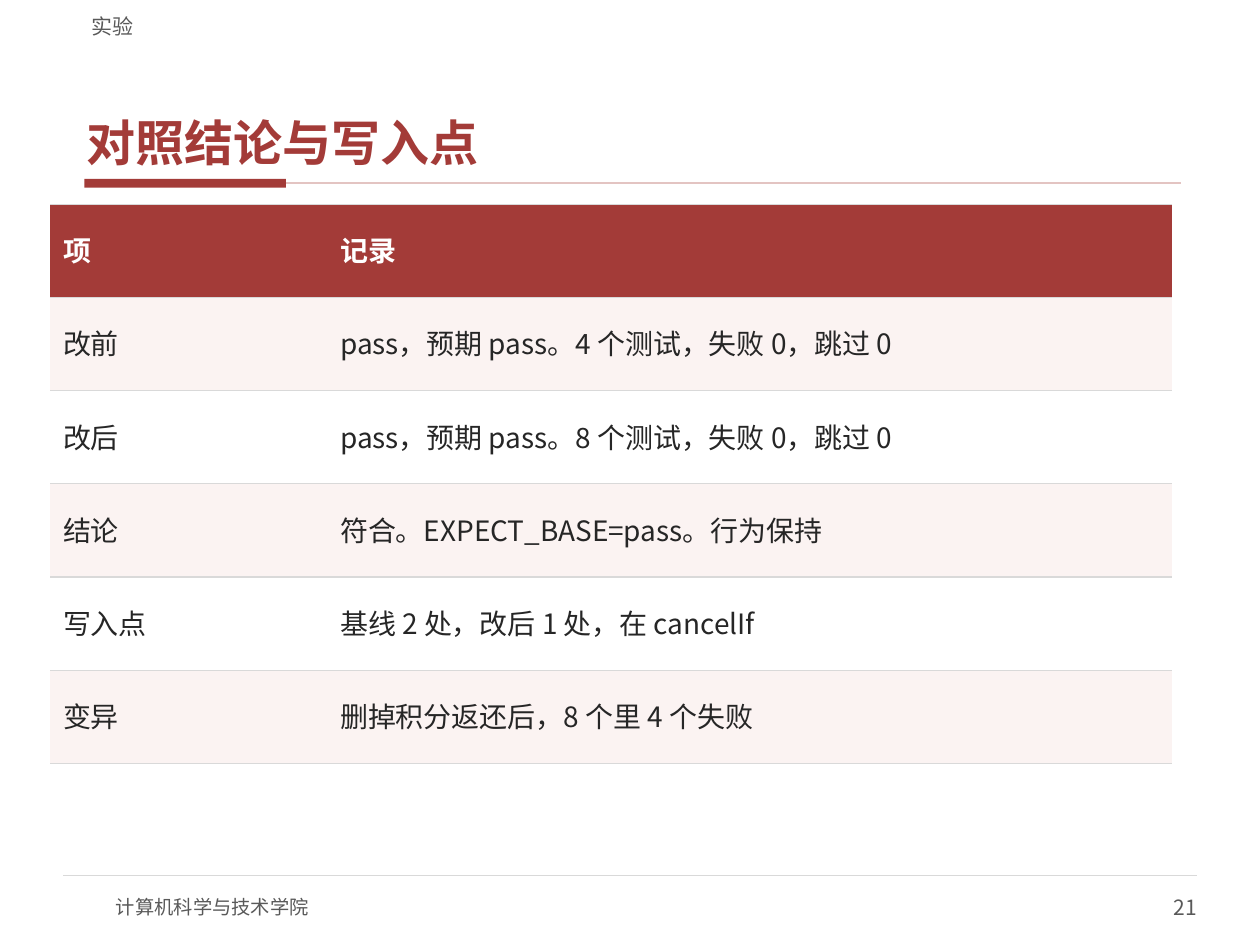
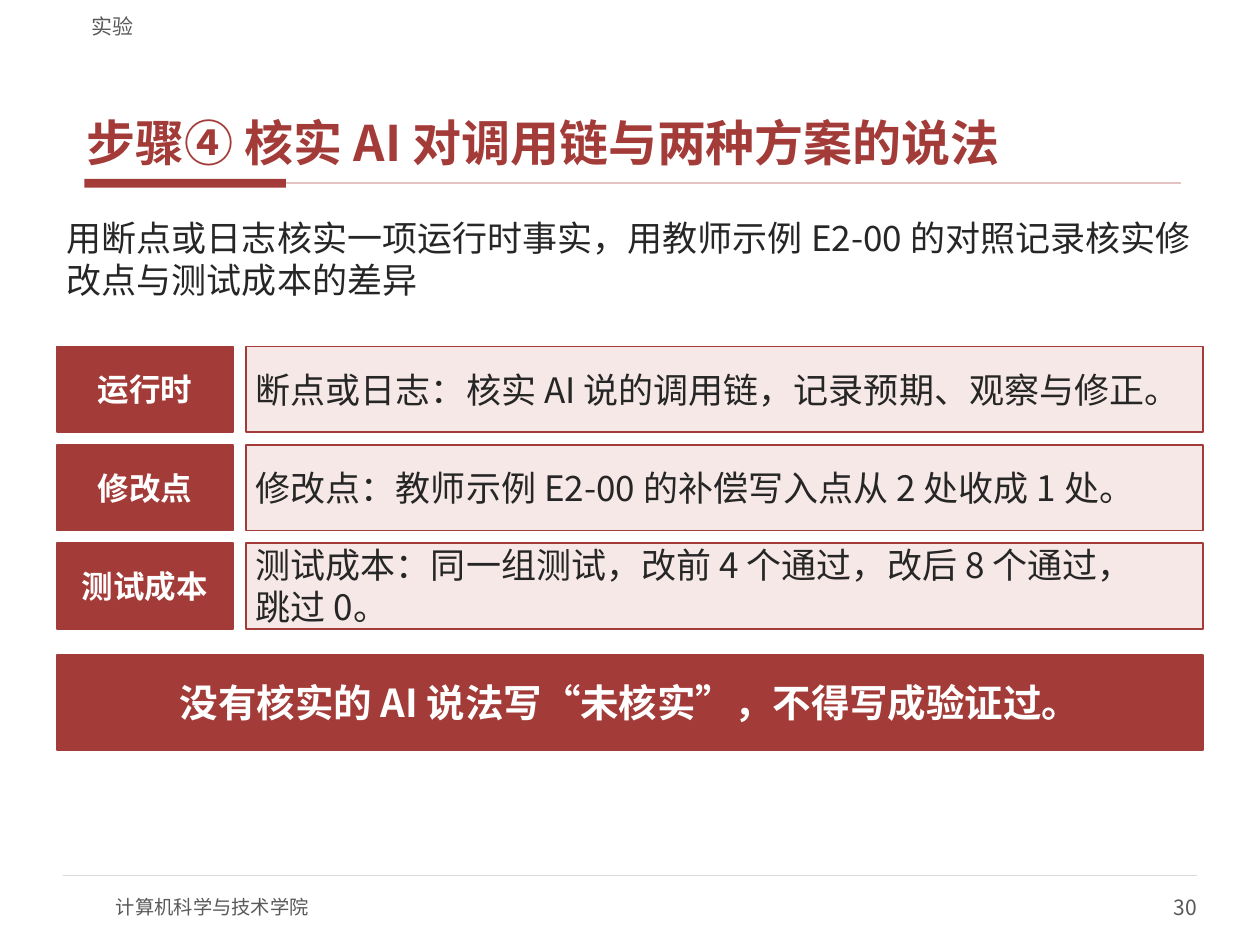
from lxml import etree
from pptx import Presentation
from pptx.dml.color import RGBColor
from pptx.enum.shapes import MSO_CONNECTOR, MSO_SHAPE
from pptx.enum.text import MSO_ANCHOR, PP_ALIGN
from pptx.oxml import parse_xml
from pptx.oxml.ns import nsdecls, qn
from pptx.util import Inches, Pt

RECT, LINE = MSO_SHAPE.RECTANGLE, MSO_CONNECTOR.STRAIGHT
TOP, MID, LOW = MSO_ANCHOR.TOP, MSO_ANCHOR.MIDDLE, MSO_ANCHOR.BOTTOM
LEFT, MIDST, RIGHT = PP_ALIGN.LEFT, PP_ALIGN.CENTER, PP_ALIGN.RIGHT
FONT = "Noto Sans CJK SC"
PLAIN = "{2D5ABB26-0587-4C30-8999-92F81FD0307C}"

HUES = {"red": "A33B38", "rose": "E3C4C2", "blush": "F6E8E6", "band": "FBF3F2",
        "white": "FFFFFF", "ink": "262626", "grey": "595959", "rule": "D9D9D9"}
RGB = {name: RGBColor.from_string(hue) for name, hue in HUES.items()}

# Text styles: font size, weight, colour, alignment, anchor, insets (inches)
STYLES = {
    "title": (28, True, "red", LEFT, LOW, (0.06, 0.02)),
    "part": (12, False, "grey", LEFT, LOW, (0.1, 0)),
    "school": (11, False, "grey", LEFT, MID, (0, 0)),
    "page": (12, False, "grey", RIGHT, MID, (0, 0)),
    "lead": (20, False, "ink", LEFT, TOP, (0.08, 0.04)),
    "body": (20, False, "ink", LEFT, MID, (0.08, 0.04)),
    "label": (18, True, "white", MIDST, MID, (0.08, 0.04)),
    "close": (22, True, "white", MIDST, MID, (0.08, 0.04)),
    "head": (16, True, "white", LEFT, MID, (0.1, 0.05)),
    "cell": (16, False, "ink", LEFT, MID, (0.1, 0.05)),
}

deck = Presentation()
deck.slide_width, deck.slide_height = Inches(10), Inches(7.5)
COL, ROW = deck.slide_width / 100, deck.slide_height / 75


def write(frame, text, style):
    size, bold, hue, align, _, _ = STYLES[style]
    para = frame.paragraphs[0]
    para.text, para.alignment = text, align
    for run in para.runs:
        for name, value in {"name": FONT, "size": Pt(size), "bold": bold}.items():
            setattr(run.font, name, value)
        run.font.color.rgb = RGB[hue]
        etree.SubElement(run.font._element, qn("a:ea"), typeface=FONT)
    return para


def block(slide, grid, text, style, fill=None):
    x, y, wide, high = grid
    box = [int(x * COL), int(y * ROW), int(wide * COL), int(high * ROW)]
    if fill:
        shape = slide.shapes.add_shape(RECT, *box)
        shape.shadow.inherit = False
        shape.fill.solid()
        shape.fill.fore_color.rgb = RGB[fill]
        shape.line.color.rgb, shape.line.width = RGB["red"], Pt(1)
    else:
        shape = slide.shapes.add_textbox(*box)
    if text:
        frame = shape.text_frame
        across, down = (Inches(inset) for inset in STYLES[style][5])
        form = {"word_wrap": True, "vertical_anchor": STYLES[style][4],
                "margin_left": across, "margin_right": across,
                "margin_top": down, "margin_bottom": down}
        for name, value in form.items():
            setattr(frame, name, value)
        write(frame, text, style)
    return shape


# Shared frame of both slides
slides = []
for title, page in [("对照结论与写入点", "21"),
                    ("步骤④ 核实 AI 对调用链与两种方案的说法", "30")]:
    slide = deck.slides.add_slide(deck.slide_layouts[6])
    slides.append(slide)
    bar = block(slide, (6.7, 14.2, 16, 0.7), "", "", "red")
    bar.line.fill.background()
    rules = []
    for start, end, y, hue, width in [(22.7, 93.7, 14.55, "rose", 1),
                                      (5, 95, 69.5, "rule", 0.75)]:
        rule = slide.shapes.add_connector(
            LINE, int(start * COL), int(y * ROW), int(end * COL), int(y * ROW))
        rule.line.color.rgb, rule.line.width = RGB[hue], Pt(width)
        etree.SubElement(rule._element.spPr, qn("a:effectLst"))
        rules.append(rule)
    rules[0].begin_connect(bar, 3)
    block(slide, (9.2, 70, 40, 4), "计算机科学与技术学院", "school")
    block(slide, (75, 70, 20, 4), page, "page")
    block(slide, (6.3, 3.3, 87.5, 10.5), title, "title")
    block(slide, (6.3, 0.4, 87.5, 2.7), "实验", "part")

# Slide 1: table of records
records = [
    ("项", "记录"),
    ("改前", "pass，预期 pass。4 个测试，失败 0，跳过 0"),
    ("改后", "pass，预期 pass。8 个测试，失败 0，跳过 0"),
    ("结论", "符合。EXPECT_BASE=pass。行为保持"),
    ("写入点", "基线 2 处，改后 1 处，在 cancelIf"),
    ("变异", "删掉积分返还后，8 个里 4 个失败"),
]
high = 7.4
table = slides[0].shapes.add_table(
    len(records), 2, int(4 * COL), int(16.2 * ROW),
    int(89 * COL), int(high * len(records) * ROW)).table
table.first_row = table.horz_banding = False
table._tbl.tblPr.find(qn("a:tableStyleId")).text = PLAIN
for column, wide in zip(table.columns, (22, 67)):
    column.width = int(wide * COL)
for i, record in enumerate(records):
    table.rows[i].height = int(high * ROW)
    fill = "band" if i % 2 else "white"
    for j, text in enumerate(record):
        cell = table.cell(i, j)
        cell.vertical_anchor = MID
        para = write(cell.text_frame, text, "cell" if i else "head")
        para.line_spacing, para.space_after = 0.9, Pt(2)
        for side in ("lnT", "lnB"):
            cell._tc.get_or_add_tcPr().append(parse_xml(
                f'<a:{side} {nsdecls("a")} w="{Pt(0.75)}"><a:solidFill>'
                f'<a:srgbClr val="{HUES["rule"]}"/></a:solidFill></a:{side}>'))
        cell.fill.solid()
        cell.fill.fore_color.rgb = RGB[fill if i else "red"]

# Slide 2: lead, labelled checks, closing band
checks = [
    ("运行时", "断点或日志：核实 AI 说的调用链，记录预期、观察与修正。"),
    ("修改点", "修改点：教师示例 E2-00 的补偿写入点从 2 处收成 1 处。"),
    ("测试成本", "测试成本：同一组测试，改前 4 个通过，改后 8 个通过，\n跳过 0。"),
]
slide = slides[1]
block(slide, (4.5, 16.8, 91, 9),
      "用断点或日志核实一项运行时事实，用教师示例 E2-00 的对照记录核实修改点与测试成本的差异", "lead")
tall, gap = 6.8, 1
for i, (label, text) in enumerate(checks):
    y = 27.5 + i * (tall + gap)
    block(slide, (4.5, y, 14, tall), label, "label", "red")
    block(slide, (19.5, y, 76, tall), text, "body", "blush")
block(slide, (4.5, 52, 91, 7.5),
      "没有核实的 AI 说法写“未核实”，不得写成验证过。", "close", "red")

deck.save("out.pptx")
